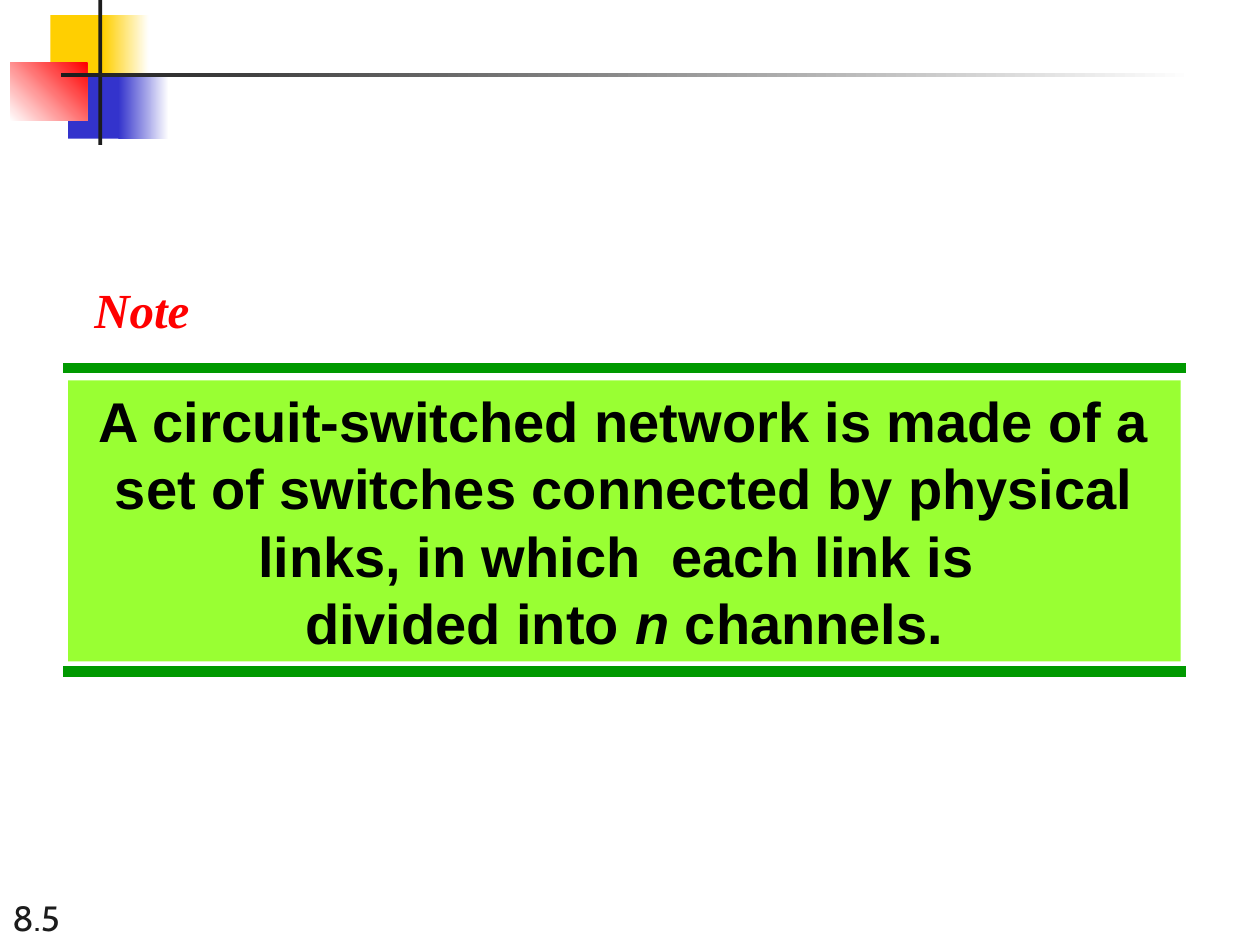
from pptx import Presentation
from pptx.dml.color import RGBColor
from pptx.enum.shapes import MSO_CONNECTOR as CONN, MSO_SHAPE as SHAPE
from pptx.enum.text import MSO_ANCHOR as ANCHOR, MSO_AUTO_SIZE as AUTO, PP_ALIGN as ALIGN
from pptx.oxml.ns import qn
from pptx.util import Pt

INK, WHITE = "1C1C1C", "FFFFFF"
YELLOW, BLUE, RED = "FFCF01", "3333CC", "FF0000"
GREEN, LIME = "009900", "99FF33"


def rgb(color):
    return RGBColor.from_string(color)


def add_rect(s, left, top, width, height, color, fade_to=None, angle=0):
    """Add a borderless rectangle, plain or fading to a second colour."""
    sp = s.shapes.add_shape(SHAPE.RECTANGLE, Pt(left), Pt(top), Pt(width), Pt(height))
    sp.shadow.inherit = False
    sp.line.fill.background()
    if fade_to:
        sp.fill.gradient()
        sp.fill.gradient_angle = angle
        for stop, position, stop_color in zip(sp.fill.gradient_stops, (0, 1), (color, fade_to)):
            stop.position = position
            stop.color.rgb = rgb(stop_color)
    else:
        sp.fill.solid()
        sp.fill.fore_color.rgb = rgb(color)
    return sp


def add_rule(s, left, right, y, color, weight):
    line = s.shapes.add_connector(CONN.STRAIGHT, Pt(left), Pt(y), Pt(right), Pt(y))
    line.line.color.rgb = rgb(color)
    line.line.width = Pt(weight)
    sp_pr = line._element.spPr
    sp_pr.append(sp_pr.makeelement(qn("a:effectLst"), {}))


def add_run(p, text, font, size, color, bold=None, italic=None):
    r = p.add_run()
    r.text = text
    r.font.name = font
    r.font.size = Pt(size)
    r.font.color.rgb = rgb(color)
    r.font.bold = bold
    r.font.italic = italic


def add_text(s, left, top, width, height, text, wrap=True, **style):
    tf = s.shapes.add_textbox(Pt(left), Pt(top), Pt(width), Pt(height)).text_frame
    tf.word_wrap = wrap
    add_run(tf.paragraphs[0], text, **style)
    return tf


def add_corner_ornament(s):
    add_rect(s, 28.8, 8.6, 34.6, 37.4, YELLOW)
    add_rect(s, 59, 8.6, 26, 37.4, YELLOW, WHITE)
    add_rect(s, 38.9, 41.8, 33.1, 37.4, BLUE)
    add_rect(s, 67.7, 41.8, 28.8, 37.4, BLUE, WHITE)
    add_rect(s, 5.8, 36, 44, 33.1, WHITE, RED, angle=45)
    add_rect(s, 56.2, 0, 2.2, 82.8, INK)
    add_rect(s, 34.6, 41.8, 648, 2.2, INK, WHITE)


def add_statement(s):
    for y in (210.25, 383.75):
        add_rule(s, 36, 678, y, GREEN, 6)
    tf = add_rect(s, 38.9, 217.4, 635.8, 160.6, LIME).text_frame
    tf.word_wrap = True
    tf.auto_size = AUTO.SHAPE_TO_FIT_TEXT
    tf.vertical_anchor = ANCHOR.TOP
    p = tf.paragraphs[0]
    p.alignment = ALIGN.CENTER
    style = dict(font="Arial", size=32, color="000000", bold=True)
    add_run(p, "A circuit-switched network is made of a set of switches connected "
               "by physical links, in which  each link is ", **style)
    p.add_line_break()
    add_run(p, "divided into ", **style)
    add_run(p, "n", italic=True, **style)
    add_run(p, " channels.", **style)


def main():
    prs = Presentation()
    prs.slide_width, prs.slide_height = Pt(720), Pt(540)
    s = prs.slides.add_slide(prs.slide_layouts[6])

    number = add_text(s, 0, 504, 150, 36, "8.5", font="Cabin", size=20, color=INK)
    number.vertical_anchor = ANCHOR.BOTTOM
    add_corner_ornament(s)
    add_statement(s)
    note = add_text(s, 46.8, 156.2, 69.1, 41, "Note", wrap=False, font="Times New Roman",
                    size=28, color=RED, bold=True, italic=True)
    note.auto_size = AUTO.SHAPE_TO_FIT_TEXT

    prs.save("out.pptx")


if __name__ == "__main__":
    main()
